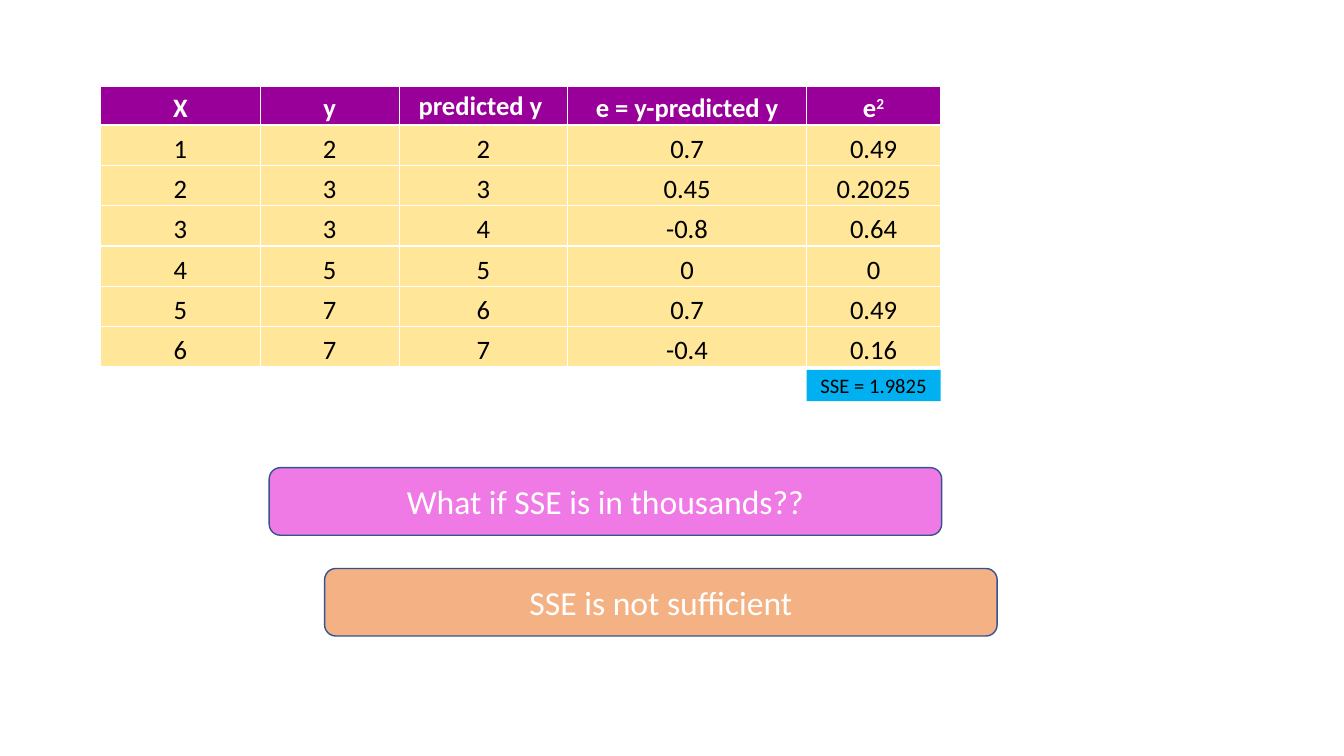
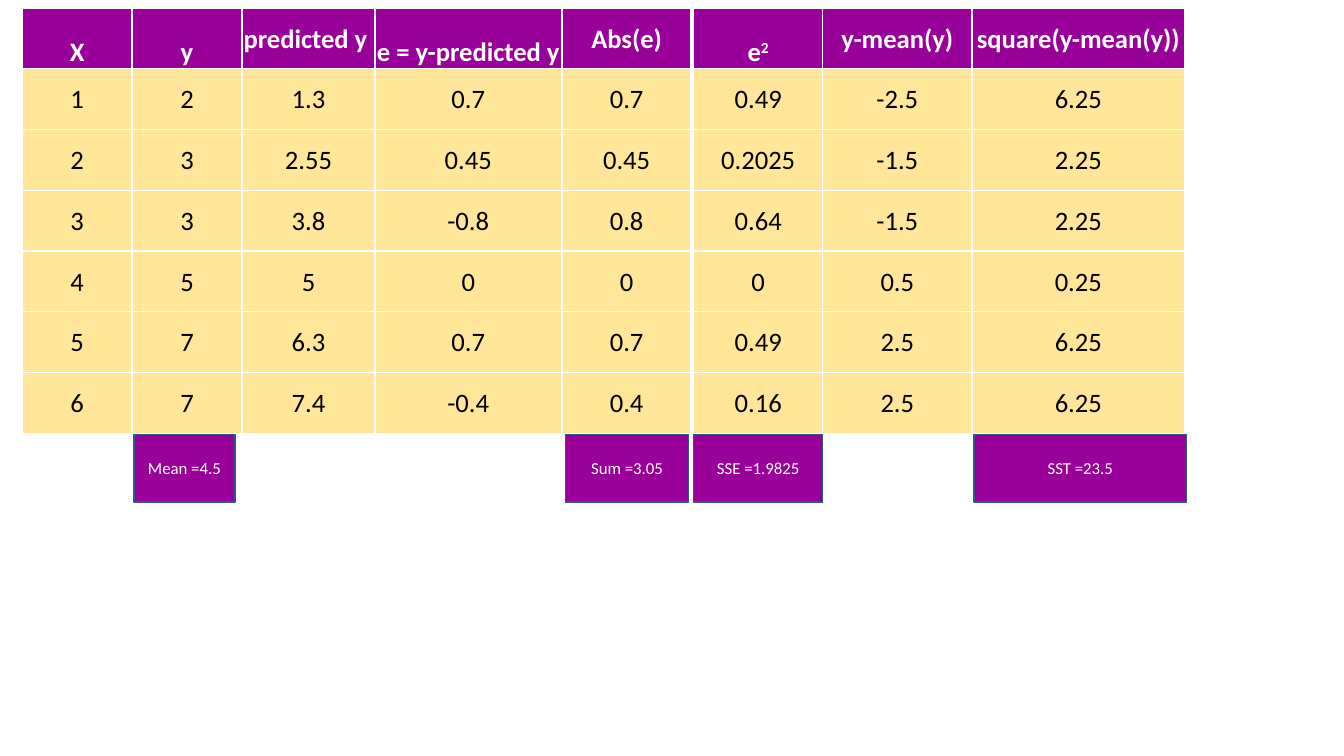
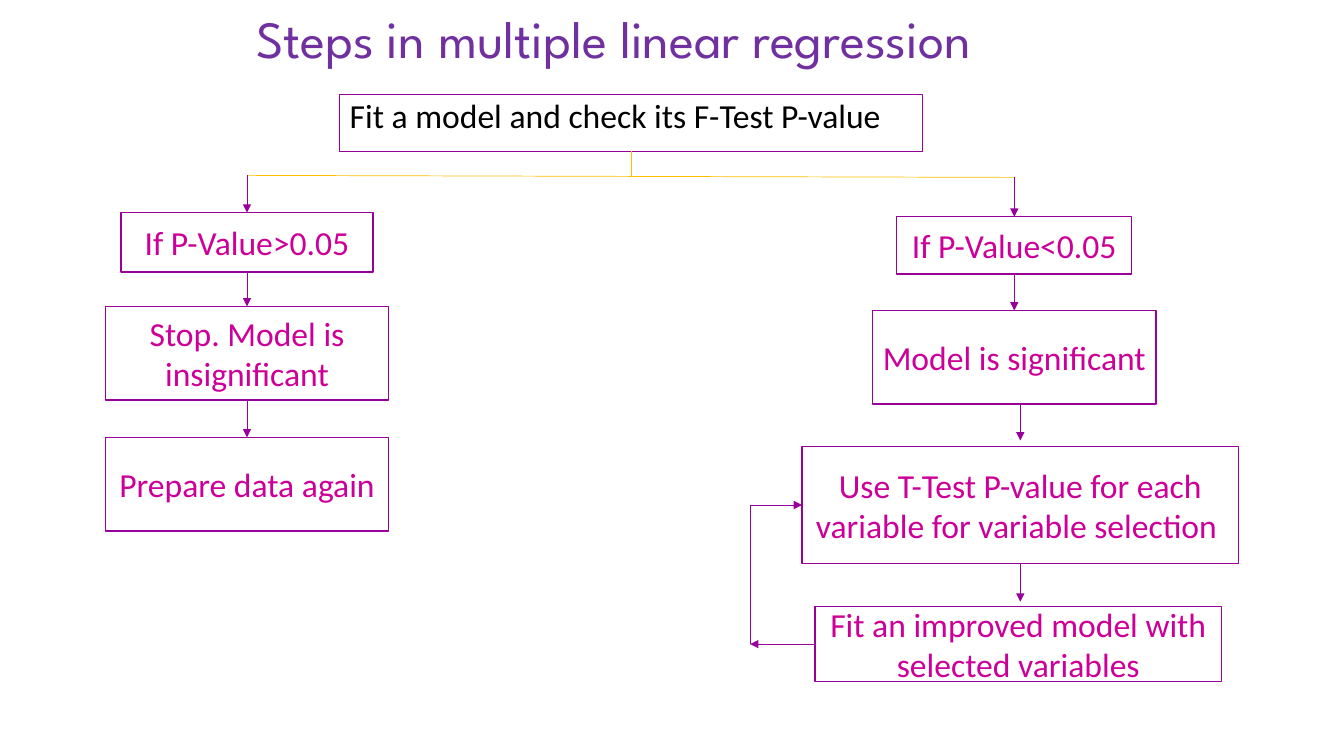
from dataclasses import dataclass
from typing import NamedTuple, Optional, Union

from lxml.etree import SubElement
from pptx import Presentation
from pptx.dml.color import RGBColor
from pptx.enum.shapes import MSO_CONNECTOR, MSO_SHAPE
from pptx.enum.text import MSO_ANCHOR, MSO_AUTO_SIZE, PP_ALIGN
from pptx.oxml.ns import qn
from pptx.util import Inches, Pt

FONT = "Calibri"
TITLE_FONT = "League Spartan"
WHITE = "FFFFFF"
BLACK = "000000"
PURPLE = "990099"
MAGENTA = "CC0099"
VIOLET = "7030A0"
SAND = "FFE699"
GOLD = "FFC000"
SKY = "00B0F0"
PINK = "F07AE5"
PEACH = "F4B183"
NAVY = "325491"
TOP, LEFT, BOTTOM = 0, 1, 2
MIDDLE, LOW = MSO_ANCHOR.MIDDLE, MSO_ANCHOR.BOTTOM

X = ("1", "2", "3", "4", "5", "6")
Y = ("2", "3", "3", "5", "7", "7")
ROUNDED = ("2", "3", "4", "5", "6", "7")
PREDICTED = ("1.3", "2.55", "3.8", "5", "6.3", "7.4")
ERROR = ("0.7", "0.45", "-0.8", "0", "0.7", "-0.4")
ABS_ERROR = ("0.7", "0.45", "0.8", "0", "0.7", "0.4")
SQUARED = ("0.49", "0.2025", "0.64", "0", "0.49", "0.16")
DEVIATION = ("-2.5", "-1.5", "-1.5", "0.5", "2.5", "2.5")
SQUARED_DEVIATION = ("6.25", "2.25", "2.25", "0.25", "6.25", "6.25")


class Column(NamedTuple):
    head: str
    values: tuple
    width: float
    head_anchor: MSO_ANCHOR = LOW


@dataclass
class Box:
    left: float
    top: float
    width: float
    height: float
    text: str
    fill: Optional[str] = None
    line: Optional[str] = None
    size: float = 24
    color: str = WHITE
    shape: MSO_SHAPE = MSO_SHAPE.RECTANGLE
    anchor: MSO_ANCHOR = MIDDLE
    align: PP_ALIGN = PP_ALIGN.CENTER
    line_width: float = 1
    spacing: Optional[float] = None


class Point(NamedTuple):
    x: float
    y: float


class Dock(NamedTuple):
    box: str
    side: int


class Link(NamedTuple):
    start: Union[Point, Dock]
    end: Union[Point, Dock]
    arrow: bool = True
    color: str = PURPLE


def rgb(color: str) -> RGBColor:
    return RGBColor.from_string(color)


def style_run(r, size: float, color: str, bold: bool = False, font: str = FONT) -> None:
    r.font.name, r.font.size, r.font.bold = font, Pt(size), bold
    r.font.color.rgb = rgb(color)


def fill_cell(cell, text: str, anchor: MSO_ANCHOR, is_head: bool) -> None:
    cell.margin_left = cell.margin_right = cell.margin_top = Inches(0.01)
    cell.margin_bottom = 0
    cell.vertical_anchor = anchor
    tc_pr = cell._tc.get_or_add_tcPr()
    for side in ("lnL", "lnR", "lnT", "lnB"):
        ln = SubElement(tc_pr, qn(f"a:{side}"), w=str(Pt(1)))
        solid = SubElement(ln, qn("a:solidFill"))
        SubElement(solid, qn("a:srgbClr"), val=WHITE)
    cell.fill.solid()
    cell.fill.fore_color.rgb = rgb(PURPLE if is_head else SAND)
    base, _, power = text.partition("^")
    p = cell.text_frame.paragraphs[0]
    p.text = base
    p.alignment = PP_ALIGN.CENTER
    if power:
        r = p.add_run()
        r.text = power
        r._r.get_or_add_rPr().set("baseline", "30000")
    for r in p.runs:
        style_run(r, 19, WHITE if is_head else BLACK, is_head)


def add_grid(s, left: float, top: float, columns: list[Column],
             head_height: float, row_height: float, body_anchor: MSO_ANCHOR) -> None:
    rows = len(columns[0].values) + 1
    width = sum(column.width for column in columns)
    height = head_height + row_height * (rows - 1)
    table = s.shapes.add_table(rows, len(columns), Inches(left), Inches(top),
                               Inches(width), Inches(height)).table
    table.horz_banding = table.first_row = False
    for i, row in enumerate(table.rows):
        row.height = Inches(row_height if i else head_height)
    for j, column in enumerate(columns):
        table.columns[j].width = Inches(column.width)
        fill_cell(table.cell(0, j), column.head, column.head_anchor, True)
        for i, value in enumerate(column.values, 1):
            fill_cell(table.cell(i, j), value, body_anchor, False)


def add_box(s, box: Box):
    sp = s.shapes.add_shape(box.shape, Inches(box.left), Inches(box.top),
                            Inches(box.width), Inches(box.height))
    sp.shadow.inherit = False
    if box.fill:
        sp.fill.solid()
        sp.fill.fore_color.rgb = rgb(box.fill)
    else:
        sp.fill.background()
    if box.line:
        sp.line.color.rgb = rgb(box.line)
        sp.line.width = Pt(box.line_width)
    else:
        sp.line.fill.background()
    tf = sp.text_frame
    tf.word_wrap = True
    tf.vertical_anchor = box.anchor
    tf.text = box.text
    p = tf.paragraphs[0]
    p.alignment = box.align
    p.line_spacing = box.spacing
    style_run(p.runs[0], box.size, box.color)
    return sp


def add_link(s, link: Link, boxes: dict) -> None:
    ends = [end if isinstance(end, Point) else Point(0, 0) for end in link[:2]]
    line = s.shapes.add_connector(MSO_CONNECTOR.STRAIGHT,
                                  *(Inches(v) for end in ends for v in end))
    for end, connect in ((link.start, line.begin_connect), (link.end, line.end_connect)):
        if isinstance(end, Dock):
            connect(boxes[end.box], end.side)
    line.line.color.rgb = rgb(link.color)
    line.line.width = Pt(0.5)
    if link.arrow:
        SubElement(line.line._get_or_add_ln(), qn("a:tailEnd"), type="triangle")
    SubElement(line._element.spPr, qn("a:effectLst"))


def add_title(s, text: str) -> None:
    title = s.shapes.title
    title.left, title.top = Inches(2.44), Inches(0.02)
    title.width, title.height = Inches(8.89), Inches(0.78)
    tf = title.text_frame
    tf.text = text
    tf.auto_size = MSO_AUTO_SIZE.NONE
    tf.vertical_anchor = MIDDLE
    p = tf.paragraphs[0]
    p.alignment = PP_ALIGN.LEFT
    p.line_spacing = 0.9
    style_run(p.runs[0], 37.3, VIOLET, font=TITLE_FONT)


def total(left: float, width: float, text: str) -> Box:
    return Box(left, 4.31, width, 0.67, text, PURPLE, NAVY, 12)


def step(center: float, top: float, width: float, height: float, text: str) -> Box:
    return Box(center - width / 2, top, width, height, text, line=PURPLE, color=MAGENTA)


def build_sse(s) -> None:
    columns = [
        Column("X", X, 1.58),
        Column("y", Y, 1.38),
        Column("predicted y ", ROUNDED, 1.67, MIDDLE),
        Column("e = y-predicted y", ERROR, 2.37),
        Column("e^2", SQUARED, 1.33),
    ]
    add_grid(s, 1, 0.86, columns, 0.38, 0.4, LOW)
    rounded = MSO_SHAPE.ROUNDED_RECTANGLE
    add_box(s, Box(8, 3.67, 1.33, 0.31, "SSE = 1.9825", SKY, size=14.7, color=BLACK))
    add_box(s, Box(2.67, 4.64, 6.67, 0.67, "What if SSE is in thousands??",
                   PINK, NAVY, shape=rounded))
    add_box(s, Box(3.22, 5.64, 6.67, 0.67, "SSE is not sufficient",
                   PEACH, NAVY, shape=rounded))


def build_sst(s) -> None:
    fit = [
        Column("X", X, 1.09),
        Column("y", Y, 1.09),
        Column("predicted y ", PREDICTED, 1.32, MIDDLE),
        Column("e = y-predicted y", ERROR, 1.85),
    ]
    absolute = [Column("Abs(e)", ABS_ERROR, 1.27, MIDDLE)]
    squares = [
        Column("e^2", SQUARED, 1.28),
        Column("y-mean(y)", DEVIATION, 1.48, MIDDLE),
        Column("square(y-mean(y))", SQUARED_DEVIATION, 2.11, MIDDLE),
    ]
    for box in (total(1.33, 1, "Mean =4.5"), total(9.66, 2.11, "SST =23.5"),
                total(6.88, 1.28, "SSE =1.9825")):
        add_box(s, box)
    row_height = 4.22 / 7
    for left, columns in ((0.22, fit), (5.58, absolute), (6.88, squares)):
        add_grid(s, left, 0.08, columns, row_height, row_height, MIDDLE)
    add_box(s, total(5.61, 1.22, "Sum =3.05"))


def build_steps(s) -> None:
    add_title(s, "Steps in multiple linear regression")
    no, yes, select = 2.45, 10.06, 10.12
    steps = {
        "fit": Box(3.37, 0.94, 5.78, 0.56, "Fit a model and check its F-Test P-value",
                   line=PURPLE, color=BLACK, anchor=MSO_ANCHOR.TOP,
                   align=PP_ALIGN.LEFT, line_width=0.75, spacing=0.9),
        "high": step(no, 2.11, 2.5, 0.59, "If P-Value>0.05"),
        "stop": step(no, 3.04, 2.81, 0.93, "Stop. Model is insignificant"),
        "again": step(no, 4.34, 2.81, 0.93, "Prepare data again"),
        "low": step(yes, 2.15, 2.33, 0.57, "If P-Value<0.05"),
        "significant": step(yes, 3.08, 2.81, 0.93, "Model is significant"),
        "t_test": step(select, 4.43, 4.33, 1.16,
                       "Use T-Test P-value for each variable for variable selection "),
        "improved": step(10.1, 6.02, 4.03, 0.74,
                         "Fit an improved model with selected variables"),
    }
    boxes = {name: add_box(s, box) for name, box in steps.items()}
    fork, fork_no, fork_yes = Point(6.26, 1.75), Point(no, 1.74), Point(yes, 1.76)
    loop_low, loop_high = Point(7.44, 6.39), Point(7.44, 5.01)
    links = [
        Link(Dock("fit", BOTTOM), fork, False, GOLD),
        Link(fork_no, fork, False, GOLD),
        Link(fork, fork_yes, False, GOLD),
        Link(fork_no, Dock("high", TOP)),
        Link(Dock("high", BOTTOM), Dock("stop", TOP)),
        Link(Dock("stop", BOTTOM), Dock("again", TOP)),
        Link(fork_yes, Dock("low", TOP)),
        Link(Dock("low", BOTTOM), Dock("significant", TOP)),
        Link(Point(select, 4), Point(select, 4.37)),
        Link(Dock("t_test", BOTTOM), Point(select, 5.97)),
        Link(Dock("improved", LEFT), loop_low),
        Link(loop_low, loop_high, False),
        Link(loop_high, Dock("t_test", LEFT)),
    ]
    for link in links:
        add_link(s, link, boxes)


def main() -> None:
    prs = Presentation()
    prs.slide_width, prs.slide_height = Inches(13.33), Inches(7.5)
    title_only, blank = prs.slide_layouts[5], prs.slide_layouts[6]
    for build, layout in ((build_sse, blank), (build_sst, blank), (build_steps, title_only)):
        build(prs.slides.add_slide(layout))
    prs.save("out.pptx")


if __name__ == "__main__":
    main()
